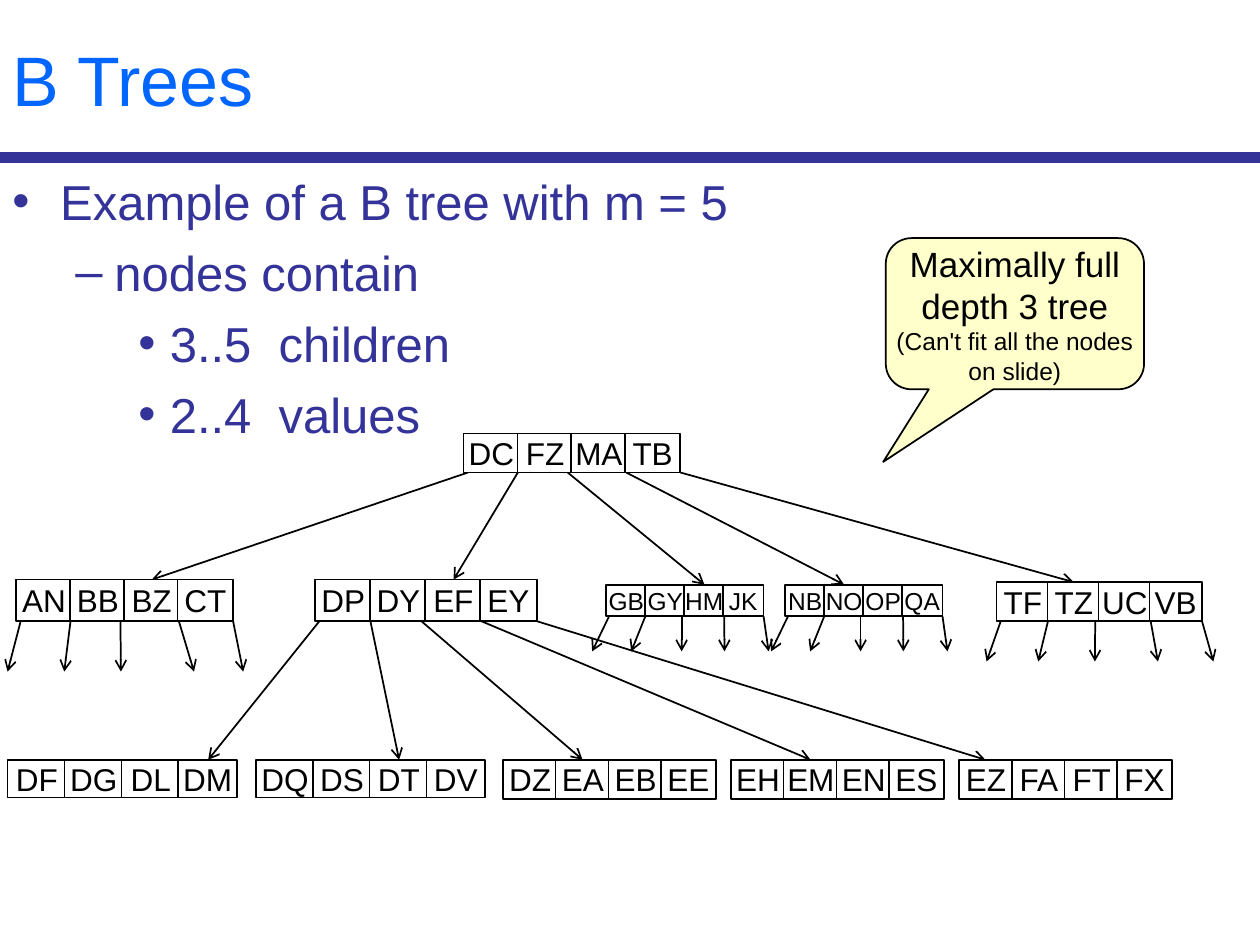
from dataclasses import dataclass

from lxml import etree
from pptx import Presentation
from pptx.dml.color import RGBColor
from pptx.enum.shapes import MSO_CONNECTOR, MSO_SHAPE
from pptx.enum.text import MSO_ANCHOR, PP_ALIGN
from pptx.oxml.ns import qn
from pptx.util import Inches, Pt

STRAIGHT = MSO_CONNECTOR.STRAIGHT
CELL_SHAPE = MSO_SHAPE.FLOWCHART_PROCESS
CALLOUT_SHAPE = MSO_SHAPE.ROUNDED_RECTANGULAR_CALLOUT
MIDDLE, TOP = MSO_ANCHOR.MIDDLE, MSO_ANCHOR.TOP
LEFT, CENTER = PP_ALIGN.LEFT, PP_ALIGN.CENTER

NAVY = RGBColor(0x33, 0x33, 0x99)
BLUE = RGBColor(0x00, 0x66, 0xFF)
BLACK = RGBColor(0x00, 0x00, 0x00)
WHITE = RGBColor(0xFF, 0xFF, 0xFF)
CREAM = RGBColor(0xFF, 0xFF, 0xCC)
FONT = "Arial"

PORTS = (0.02, 0.25, 0.48, 0.75, 1)


@dataclass
class Node:
    keys: str
    left: float
    top: float
    width: float
    height: float
    size: int = 18

    @property
    def bottom(self):
        return self.top + self.height

    def port(self, index):
        return self.left + PORTS[index] * self.width

    def cell_middle(self, index):
        return self.left + (index + 0.5) * self.width / 4


ROOT = Node("DC FZ MA TB", 3.68, 3.44, 1.72, 0.31)
AN = Node("AN BB BZ CT", 0.13, 4.6, 1.72, 0.33)
DP = Node("DP DY EF EY", 2.5, 4.6, 1.76, 0.33)
GB = Node("GB GY HM JK", 4.81, 4.64, 1.25, 0.25, 14)
NB = Node("NB NO OP QA", 6.23, 4.64, 1.25, 0.25, 14)
TF = Node("TF TZ UC VB", 7.91, 4.62, 1.63, 0.31)
DF = Node("DF DG DL DM", 0.06, 6.03, 1.82, 0.3)
DQ = Node("DQ DS DT DV", 2.03, 6.03, 1.82, 0.3)
DZ = Node("DZ EA EB EE", 3.99, 6.03, 1.69, 0.31)
EH = Node("EH EM EN ES", 5.8, 6.03, 1.69, 0.31)
EZ = Node("EZ FA FT FX", 7.61, 6.03, 1.69, 0.31)
NODES = (ROOT, AN, DP, GB, NB, TF, DF, DQ, DZ, EH, EZ)

CHILDREN = (
    (ROOT, ((AN, 2), (DP, 2), (GB, 2), (NB, 1), (TF, 1))),
    (DP, ((DF, 3), (DQ, 2), (DZ, 1), (EH, 1), (EZ, 0))),
)
STUBS = (
    (AN, 0.4, (-0.07, 0.38, 0.83, 1.41, 1.8)),
    (GB, 0.28, (-0.11, 0.2, 0.6, 0.94, 1.29)),
    (NB, 0.28, (-0.11, 0.2, 0.6, 0.94, 1.29)),
    (TF, 0.32, (-0.08, 0.33, 0.78, 1.28, 1.72)),
)

BULLETS = (
    (0, "•", 0.38, -0.38, "Example of a B tree with m = 5"),
    (1, "–", 0.81, -0.31, "nodes contain"),
    (2, "•", 1.25, -0.25, "3..5  children"),
    (2, "•", 1.25, -0.25, "2..4  values"),
)
CALLOUT_LINES = (
    ("Maximally full", 20),
    ("depth 3 tree", 20),
    ("(Can't fit all the nodes on slide)", 14),
)


def style(paragraph, size, color, align):
    paragraph.font.name = FONT
    paragraph.font.size = Pt(size)
    paragraph.font.color.rgb = color
    paragraph.alignment = align


def add_line(slide, start, end, color=BLACK, weight=1, arrow=False):
    line = slide.shapes.add_connector(STRAIGHT, *map(Inches, start + end))
    line.line.color.rgb = color
    line.line.width = Pt(weight)
    if arrow:
        tail = etree.SubElement(line.line._get_or_add_ln(), qn("a:tailEnd"))
        tail.set("type", "arrow")
    etree.SubElement(line._element.spPr, qn("a:effectLst"))


def add_box(shapes, kind, box, fill):
    shape = shapes.add_shape(kind, *map(Inches, box))
    shape.shadow.inherit = False
    shape.fill.solid()
    shape.fill.fore_color.rgb = fill
    shape.line.color.rgb = BLACK
    shape.line.width = Pt(1)
    frame = shape.text_frame
    frame.margin_left = frame.margin_right = 0
    frame.margin_top = frame.margin_bottom = 0
    frame.vertical_anchor = MIDDLE
    return shape


def add_header(slide, left, top, width, height):
    title = slide.shapes.title
    title.left, title.top = Inches(left), Inches(top)
    title.width, title.height = Inches(width), Inches(height)
    title.text_frame.text = "B Trees"
    title.text_frame.vertical_anchor = MIDDLE
    style(title.text_frame.paragraphs[0], 40, BLUE, LEFT)
    bottom = top + height
    add_line(slide, (left, bottom), (left + width, bottom), NAVY, 6)


def add_bullets(slide, left, top, width, height):
    body = slide.shapes.add_textbox(*map(Inches, (left, top, width, height)))
    frame = body.text_frame
    frame.word_wrap = True
    frame.vertical_anchor = TOP
    for i, (level, mark, margin, indent, text) in enumerate(BULLETS):
        paragraph = frame.add_paragraph() if i else frame.paragraphs[0]
        paragraph.text = text
        paragraph.level = level
        paragraph.space_before = Pt(7)
        style(paragraph, 28, NAVY, LEFT)
        properties = paragraph._p.get_or_add_pPr()
        properties.set("marL", str(Inches(margin)))
        properties.set("indent", str(Inches(indent)))
        etree.SubElement(properties, qn("a:buFont")).set("typeface", FONT)
        etree.SubElement(properties, qn("a:buChar")).set("char", mark)
        properties.append(properties.find(qn("a:defRPr")))


def add_node(slide, node):
    cells = slide.shapes.add_group_shape().shapes
    keys = node.keys.split()
    cell_width = node.width / len(keys) + 0.01
    step = (node.width - cell_width) / (len(keys) - 1)
    for i, key in enumerate(keys):
        box = (node.left + i * step, node.top, cell_width, node.height)
        frame = add_box(cells, CELL_SHAPE, box, WHITE).text_frame
        frame.word_wrap = False
        frame.text = key
        style(frame.paragraphs[0], node.size, BLACK, CENTER)


def add_tree(slide):
    for parent, children in CHILDREN:
        for i, (child, cell) in enumerate(children):
            add_line(slide, (parent.port(i), parent.bottom),
                     (child.cell_middle(cell), child.top), arrow=True)
    for node, drop, tips in STUBS:
        for i, tip in enumerate(tips):
            add_line(slide, (node.port(i), node.bottom),
                     (node.left + tip, node.bottom + drop), arrow=True)
    for node in NODES:
        add_node(slide, node)


def add_callout(slide, left, top, width, height):
    callout = add_box(slide.shapes, CALLOUT_SHAPE, (left, top, width, height), CREAM)
    for i, value in enumerate((-0.51, 0.98, 0.17)):
        callout.adjustments[i] = value
    frame = callout.text_frame
    frame.word_wrap = True
    for i, (text, size) in enumerate(CALLOUT_LINES):
        paragraph = frame.add_paragraph() if i else frame.paragraphs[0]
        paragraph.text = text
        style(paragraph, size, BLACK, CENTER)


def main():
    deck = Presentation()
    deck.slide_width, deck.slide_height = Inches(10), Inches(7.5)
    slide = deck.slides.add_slide(deck.slide_layouts[5])
    add_header(slide, 0, 0, 10, 1.25)
    add_bullets(slide, 0, 1.31, 10, 6.19)
    add_tree(slide)
    add_callout(slide, 7.03, 1.89, 2.05, 1.2)
    deck.save("out.pptx")


if __name__ == "__main__":
    main()
